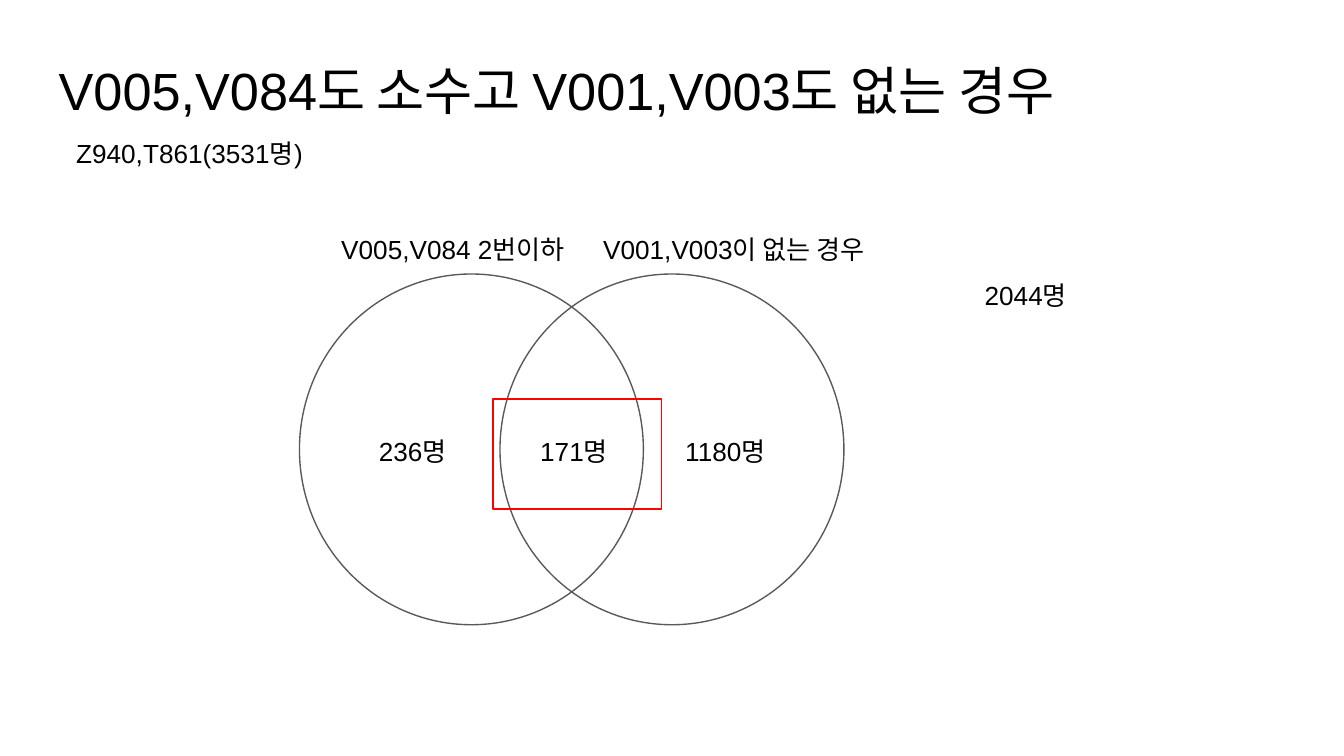
from dataclasses import dataclass

from pptx import Presentation
from pptx.dml.color import RGBColor
from pptx.enum.shapes import MSO_SHAPE
from pptx.enum.text import MSO_ANCHOR, MSO_AUTO_SIZE, PP_ALIGN
from pptx.slide import Slide
from pptx.text.text import TextFrame
from pptx.util import Cm, Pt

OVAL = MSO_SHAPE.OVAL
RECTANGLE = MSO_SHAPE.RECTANGLE
TOP = MSO_ANCHOR.TOP
LEFT = PP_ALIGN.LEFT
NO_AUTOFIT = MSO_AUTO_SIZE.NONE

BLACK = RGBColor(0x00, 0x00, 0x00)
GRAY = RGBColor(0x59, 0x59, 0x59)
RED = RGBColor(0xFF, 0x00, 0x00)

FONT = "Arial"
INSET = Cm(0.25)
LABEL_HEIGHT = 1.22
COUNT_TOP = 7.98
HEADING_TOP = 4.17
CIRCLE_TOP, CIRCLE_WIDTH, CIRCLE_HEIGHT = 5.18, 6.5, 6.63


@dataclass(frozen=True)
class Label:
    text: str
    left: float
    top: float
    width: float


@dataclass(frozen=True)
class Outline:
    kind: MSO_SHAPE
    left: float
    top: float
    width: float
    height: float
    color: RGBColor


CIRCLES = [
    Outline(OVAL, left, CIRCLE_TOP, CIRCLE_WIDTH, CIRCLE_HEIGHT, GRAY)
    for left in (9.45, 5.66)
]
HIGHLIGHT = Outline(RECTANGLE, 9.32, 7.54, 3.18, 2.08, RED)

LABELS = [
    Label("V005,V084 2번이하", 6.2, HEADING_TOP, 4.95),
    Label("V001,V003이 없는 경우", 11.15, HEADING_TOP, 5.94),
    Label("Z940,T861(3531명)", 1.19, 2.34, 7.26),
    Label("236명", 6.91, COUNT_TOP, 1.93),
    Label("171명", 9.96, COUNT_TOP, 1.93),
    Label("1180명", 12.7, COUNT_TOP, 2.72),
    Label("2044명", 18.36, 5.03, 2.72),
]


def write_text(tf: TextFrame, text: str, size: int) -> None:
    tf.word_wrap = True
    tf.auto_size = NO_AUTOFIT
    tf.vertical_anchor = TOP
    tf.margin_left = tf.margin_right = INSET
    tf.margin_top = tf.margin_bottom = INSET
    p = tf.paragraphs[0]
    p.text = text
    p.alignment = LEFT
    p.line_spacing = 1.0
    p.font.name = FONT
    p.font.size = Pt(size)
    p.font.color.rgb = BLACK


def add_title(s: Slide, text: str) -> None:
    title = s.shapes.title
    title.left, title.top = Cm(0.86), Cm(0.86)
    title.width, title.height = Cm(23.67), Cm(1.6)
    write_text(title.text_frame, text, 28)


def add_label(s: Slide, label: Label) -> None:
    sp = s.shapes.add_textbox(
        Cm(label.left), Cm(label.top), Cm(label.width), Cm(LABEL_HEIGHT)
    )
    write_text(sp.text_frame, label.text, 14)


def add_outline(s: Slide, outline: Outline) -> None:
    sp = s.shapes.add_shape(
        outline.kind,
        Cm(outline.left),
        Cm(outline.top),
        Cm(outline.width),
        Cm(outline.height),
    )
    sp.shadow.inherit = False
    sp.fill.background()
    sp.line.color.rgb = outline.color
    sp.line.width = Pt(0.75)


prs = Presentation()
prs.slide_width = Cm(25.4)
prs.slide_height = Cm(14.29)
s = prs.slides.add_slide(prs.slide_layouts[5])

add_title(s, "V005,V084도 소수고 V001,V003도 없는 경우")
for circle in CIRCLES:
    add_outline(s, circle)
for label in LABELS:
    add_label(s, label)
add_outline(s, HIGHLIGHT)

prs.save("out.pptx")
